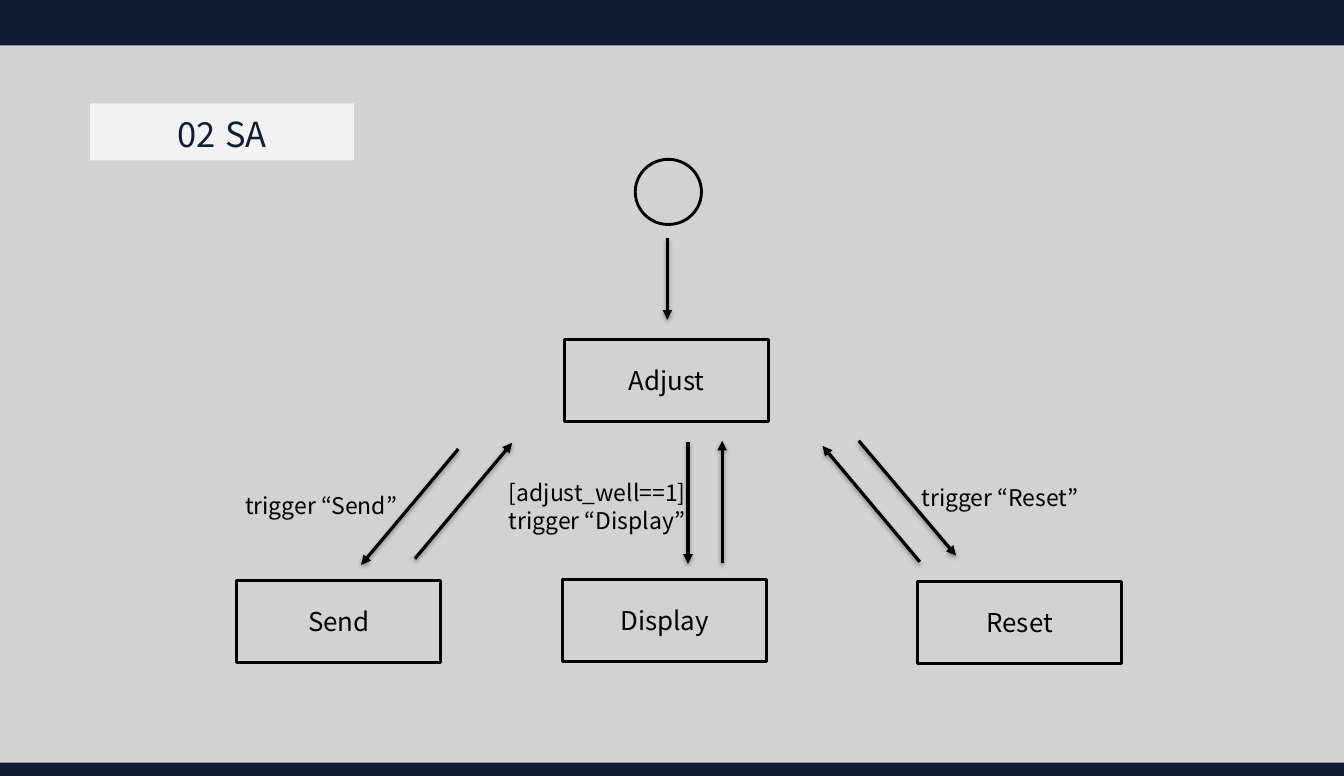
from pptx import Presentation
from pptx.dml.color import RGBColor
from pptx.enum.shapes import MSO_CONNECTOR as Connector, MSO_SHAPE as Shape
from pptx.enum.text import MSO_ANCHOR as Anchor, PP_ALIGN as Align
from pptx.oxml import parse_xml
from pptx.oxml.ns import nsdecls
from pptx.util import Inches, Pt

FONT = "Noto Sans CJK KR"
NAVY, PALE, GREY, BLACK = "0F1E35", "F2F2F2", "D2D2D2", "000000"
WIDTH, HEIGHT = 12.99, 7.5
STATE_WIDTH, STATE_HEIGHT = 1.97, 0.79


def color(value):
    return RGBColor.from_string(value)


def add_shape(page, kind, box, fill=None, line=None):
    shape = page.shapes.add_shape(kind, *map(Inches, box))
    shape.shadow.inherit = False
    if fill:
        shape.fill.solid()
        shape.fill.fore_color.rgb = color(fill)
    else:
        shape.fill.background()
    if line:
        shape.line.color.rgb = color(line)
        shape.line.width = Pt(2)
    else:
        shape.line.fill.background()
    return shape


def style(span, size, ink):
    span.font.name = FONT
    span.font.size = Pt(size)
    span.font.color.rgb = color(ink)


def write(shape, text, size, ink=BLACK, align=Align.LEFT, anchor=Anchor.TOP):
    frame = shape.text_frame
    frame.word_wrap = True
    frame.vertical_anchor = anchor
    frame.text = text
    para = frame.paragraphs[0]
    para.alignment = align
    for span in para.runs:
        style(span, size, ink)
    return para


def add_label(page, text, box):
    write(page.shapes.add_textbox(*map(Inches, box)), text, 16)


def add_state(page, name, left, top):
    box = (left, top, STATE_WIDTH, STATE_HEIGHT)
    state = add_shape(page, Shape.RECTANGLE, box, line=BLACK)
    write(state, name, 18, align=Align.CENTER, anchor=Anchor.MIDDLE)


def add_arrow(page, start, end):
    arrow = page.shapes.add_connector(Connector.STRAIGHT, *map(Inches, start + end))
    arrow.line.color.rgb = color(BLACK)
    arrow.line.width = Pt(2.25)
    arrow.line._get_or_add_ln().append(
        parse_xml(f'<a:tailEnd {nsdecls("a")} type="triangle"/>'))
    # Soft shadow straight below the line
    arrow._element.spPr.append(parse_xml(
        f'<a:effectLst {nsdecls("a")}>'
        f'<a:outerShdw blurRad="{Pt(3.1)}" dist="{Pt(1.8)}" dir="5400000" rotWithShape="0">'
        f'<a:srgbClr val="{BLACK}"><a:alpha val="35000"/></a:srgbClr>'
        '</a:outerShdw></a:effectLst>'))


def add_bands(page, top_height, bottom_height):
    add_shape(page, Shape.RECTANGLE, (0, 0, WIDTH, top_height), NAVY)
    add_shape(page, Shape.RECTANGLE, (0, HEIGHT - bottom_height, WIDTH, bottom_height), NAVY)


def add_title(page, number, name, left, top, width, height):
    add_shape(page, Shape.RECTANGLE, (left, top, width, height), PALE)
    title = page.shapes.add_textbox(*map(Inches, (left + 0.2, top + 0.04, width - 0.4, 0.5)))
    para = write(title, number, 24, NAVY, Align.CENTER)
    for text in (" ", name):
        span = para.add_run()
        span.text = text
        style(span, 24, NAVY)
    # Tight letters around a slightly wider word gap, in hundredths of a point
    for span, spacing in zip(para.runs, (-300, 170, -300)):
        span.font._element.set("spc", str(spacing))


def add_state_machine(page, left, top):
    def at(x, y):
        return left + x, top + y

    # Start circle and states
    add_shape(page, Shape.OVAL, (*at(3.85, 0), 0.64, 0.63), line=BLACK)
    states = [("Adjust", 3.17, 1.74), ("Send", 0, 4.07),
              ("Display", 3.15, 4.06), ("Reset", 6.58, 4.08)]
    for name, x, y in states:
        add_state(page, name, *at(x, y))

    # Transitions
    transitions = [
        ((4.16, 0.76), (4.16, 1.55)),   # start to Adjust
        ((2.14, 2.8), (1.2, 3.92)),     # Adjust to Send
        ((1.72, 3.86), (2.66, 2.74)),   # Send to Adjust
        ((4.36, 2.73), (4.36, 3.91)),   # Adjust to Display
        ((4.69, 3.9), (4.69, 2.72)),    # Display to Adjust
        ((6.01, 2.72), (6.95, 3.83)),   # Adjust to Reset
        ((6.6, 3.89), (5.66, 2.77)),    # Reset to Adjust
    ]
    for start, end in transitions:
        add_arrow(page, at(*start), at(*end))

    # Transition labels
    labels = [("trigger “Send”", -0.02, 3.16, 0.37),
              ("[adjust_well==1] trigger “Display”", 2.53, 3.04, 0.64),
              ("trigger “Reset”", 6.52, 3.08, 0.37)]
    for text, x, y, height in labels:
        add_label(page, text, (*at(x, y), 2.2, height))


def main():
    deck = Presentation()
    deck.slide_width, deck.slide_height = Inches(WIDTH), Inches(HEIGHT)
    page = deck.slides.add_slide(deck.slide_layouts[6])
    page.background.fill.solid()
    page.background.fill.fore_color.rgb = color(GREY)
    add_title(page, "0 2", "S A", 0.87, 1, 2.55, 0.55)
    add_bands(page, 0.44, 0.13)
    add_state_machine(page, 2.29, 1.54)
    deck.save("out.pptx")


if __name__ == "__main__":
    main()
